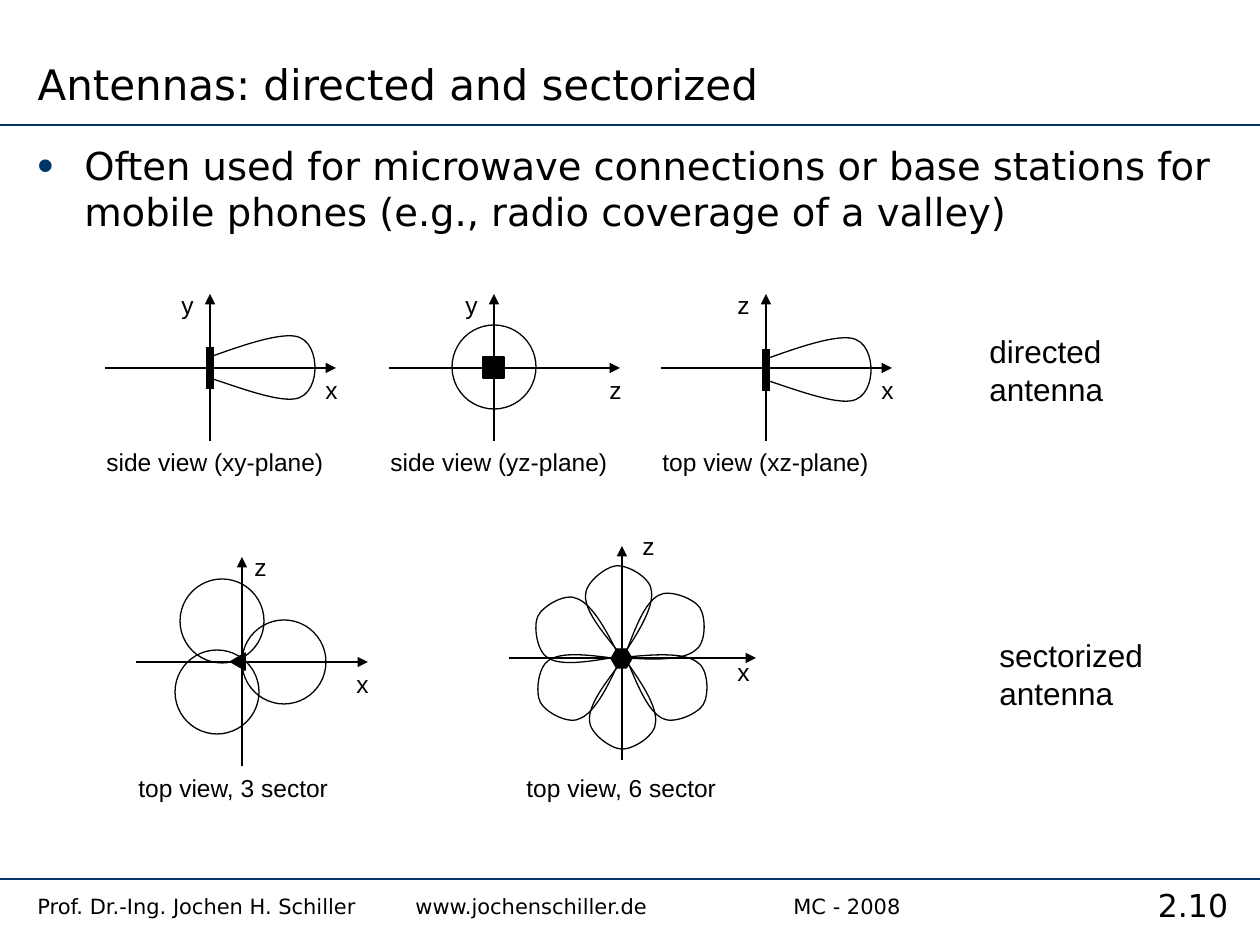
from dataclasses import dataclass
from math import cos, radians, sin

from lxml.etree import SubElement
from pptx import Presentation
from pptx.dml.color import RGBColor
from pptx.enum.shapes import MSO_CONNECTOR, MSO_SHAPE as SHAPE
from pptx.enum.text import MSO_ANCHOR as ANCHOR, MSO_AUTO_SIZE as AUTO, PP_ALIGN as ALIGN
from pptx.oxml.ns import qn
from pptx.util import Emu, Pt

PX = 914400 / 126


@dataclass(frozen=True)
class Theme:
    ink: str = "000000"
    accent: str = "003366"
    head_font: str = "DejaVu Sans"
    label_font: str = "Arial"
    title: int = 24
    body: int = 22
    group: int = 18
    label: int = 14
    footer: int = 12
    thin: float = 0.75
    rule: float = 1
    antenna: float = 4.5


T = Theme()

# Bezier points in px from the start point: three points per curve.
LOBE = [(33, -12), (66, -23), (84, -21), (101, -19), (105, 0), (105, 11),
        (105, 21), (101, 40), (84, 42), (66, 44), (33, 32), (0, 21)]
PETAL = [(-25, 4), (-50, 8), (-63, 0), (-74, -6), (-78, -32), (-73, -42),
         (-68, -52), (-45, -66), (-33, -59), (-19, -53), (-6, -30), (6, -6)]


def px(n):
    return Emu(round(n * PX))


def rgb(color):
    return RGBColor.from_string(color)


def fill_text(tf, text, size, font=T.label_font, color=T.ink, align=ALIGN.LEFT,
              anchor=ANCHOR.TOP, wrap=False):
    """Write one paragraph per line of text and return the paragraphs."""
    tf.word_wrap = wrap
    tf.auto_size = AUTO.NONE
    tf.vertical_anchor = anchor
    for i, line in enumerate(text.split("\n")):
        p = tf.paragraphs[0] if i == 0 else tf.add_paragraph()
        p.alignment = align
        r = p.add_run()
        r.text = line
        r.font.name, r.font.size = font, Pt(size)
        r.font.color.rgb = rgb(color)
    return tf.paragraphs


def add_text(s, x, y, w, h, text, size, **fmt):
    sp = s.shapes.add_textbox(px(x), px(y), px(w), px(h))
    return fill_text(sp.text_frame, text, size, **fmt)


def add_line(s, x1, y1, x2, y2, color=T.ink, width=T.thin, arrow=False):
    sp = s.shapes.add_connector(MSO_CONNECTOR.STRAIGHT, px(x1), px(y1), px(x2), px(y2))
    sp.line.color.rgb = rgb(color)
    sp.line.width = Pt(width)
    if arrow:
        SubElement(sp.line._get_or_add_ln(), qn("a:tailEnd"), type="triangle")
    SubElement(sp._element.spPr, qn("a:effectLst"))


def outline(sp, solid=False):
    sp.shadow.inherit = False
    sp.line.color.rgb = rgb(T.ink)
    sp.line.width = Pt(T.thin)
    if solid:
        sp.fill.solid()
        sp.fill.fore_color.rgb = rgb(T.ink)
    else:
        sp.fill.background()
    return sp


def add_mark(s, kind, x, y, w, h, solid=True):
    return outline(s.shapes.add_shape(kind, px(x), px(y), px(w), px(h)), solid)


def add_circle(s, x, y):
    add_mark(s, SHAPE.OVAL, x, y, 84, 84, solid=False)


def add_curve(s, x, y, offsets):
    """Draw an open chain of cubic Bezier curves from (x, y)."""
    builder = s.shapes.build_freeform(px(x), px(y))
    builder.add_line_segments([(px(x + dx), px(y + dy)) for dx, dy in offsets], close=False)
    sp = outline(builder.convert_to_shape())
    chain = next(sp._element.iter(qn("a:path")))
    segments = chain.findall(qn("a:lnTo"))
    for i in range(0, len(segments), 3):
        curve = SubElement(chain, qn("a:cubicBezTo"))
        for segment in segments[i:i + 3]:
            curve.append(segment[0])
            chain.remove(segment)


def add_petal(s, x, y, angle, flip):
    """Draw a sector petal turned clockwise, with flip = -1 for a mirrored one."""
    c, n = cos(radians(angle)), sin(radians(angle))
    add_curve(s, x, y, [(dx * c - dy * flip * n, dx * n + dy * flip * c)
                        for dx, dy in PETAL])


def add_axes(s, cx, cy, left, right, top, bottom):
    add_line(s, cx, bottom, cx, top, arrow=True)
    add_line(s, left, cy, right, cy, arrow=True)


def add_label(s, x, y, text, w=38):
    add_text(s, x, y, w, 43, text, T.label)


def add_directed_panel(s, cx, across, up, caption, w):
    add_axes(s, cx, 368, cx - 105, cx + 126, 294, 441)
    add_label(s, cx + 103, 369, across)
    add_label(s, cx - 41, 284, up)
    add_label(s, cx - 116, 441, caption, w)


def add_lobe(s, cx, y):
    add_line(s, cx, y - 10, cx, y + 32, width=T.antenna)
    add_curve(s, cx, y, LOBE)


def add_three_sector(s):
    add_axes(s, 242, 662, 136, 368, 557, 766)
    add_label(s, 344, 663, "x")
    add_label(s, 242, 546, "z")
    add_label(s, 126, 767, "top view, 3 sector", 215)
    add_mark(s, SHAPE.ISOSCELES_TRIANGLE, 233, 652, 17, 15).rotation = 30
    for x, y in [(242, 620), (175, 650), (180, 579)]:
        add_circle(s, x, y)


def add_six_sector(s):
    add_axes(s, 622, 658, 509, 756, 546, 760)
    add_label(s, 725, 651, "x")
    add_label(s, 630, 525, "z")
    add_label(s, 514, 767, "top view, 6 sector", 215)
    add_mark(s, SHAPE.HEXAGON, 611, 649, 21, 19).adjustments[0] = 0.29
    upper = [(611, 658), (617, 650), (627, 650)]
    lower = [(612, 658), (619, 665), (629, 665)]
    for i in range(3):
        add_petal(s, *upper[i], 60 * i, 1)
        add_petal(s, *lower[i], -2 - 60 * i, -1)


def add_bullet(s, text):
    p = add_text(s, 25, 136, 1211, 737, text, T.body, font=T.head_font, wrap=True)[0]
    pPr = p._p.get_or_add_pPr()
    pPr.set("marL", str(px(47)))
    pPr.set("indent", str(px(-47)))
    SubElement(SubElement(pPr, qn("a:buClr")), qn("a:srgbClr"), val=T.accent)
    SubElement(pPr, qn("a:buSzPct"), val="120000")
    SubElement(pPr, qn("a:buFont"), typeface=T.label_font)
    SubElement(pPr, qn("a:buChar"), char="•")
    p.space_before = Pt(5.5)


def add_frame(s):
    """Set the rules above and below the content, the footer and the page number."""
    for y in (125, 879):
        add_line(s, 0, y, 1260, y, color=T.accent, width=T.rule)
    add_text(s, 1126, 880, 134, 55, "2.10", T.group, font=T.head_font, align=ALIGN.CENTER)
    p = add_text(s, 25, 887, 1101, 42,
                 "Prof. Dr.-Ing. Jochen H. Schiller\twww.jochenschiller.de\t\tMC - 2008",
                 T.footer, font=T.head_font, wrap=True)[0]
    tabs = SubElement(p._p.get_or_add_pPr(), qn("a:tabLst"))
    for pos in (378, 630, 756):
        SubElement(tabs, qn("a:tab"), pos=str(px(pos)), algn="l")


def add_title(s, text):
    sp = s.shapes.title
    sp.left, sp.top, sp.width, sp.height = px(25), px(0), px(833), px(115)
    fill_text(sp.text_frame, text, T.title, font=T.head_font, anchor=ANCHOR.BOTTOM, wrap=True)


def main():
    prs = Presentation()
    prs.slide_width, prs.slide_height = px(1260), px(945)
    s = prs.slides.add_slide(prs.slide_layouts[5])
    add_frame(s)
    add_title(s, "Antennas: directed and sectorized")
    add_bullet(s, "Often used for microwave connections or base stations for "
                  "mobile phones (e.g., radio coverage of a valley)")
    add_directed_panel(s, 210, "x", "y", "side view (xy-plane)", 242)
    add_directed_panel(s, 494, "z", "y", "side view (yz-plane)", 242)
    add_directed_panel(s, 766, "x", "z", "top view (xz-plane)", 231)
    add_lobe(s, 210, 357)
    add_lobe(s, 766, 359)
    add_circle(s, 452, 325)
    add_mark(s, SHAPE.RECTANGLE, 483, 357, 21, 21)
    add_three_sector(s)
    add_six_sector(s)
    add_text(s, 977, 326, 139, 88, "directed\nantenna", T.group)
    add_text(s, 987, 630, 169, 88, "sectorized\nantenna", T.group)
    prs.save("out.pptx")


if __name__ == "__main__":
    main()
